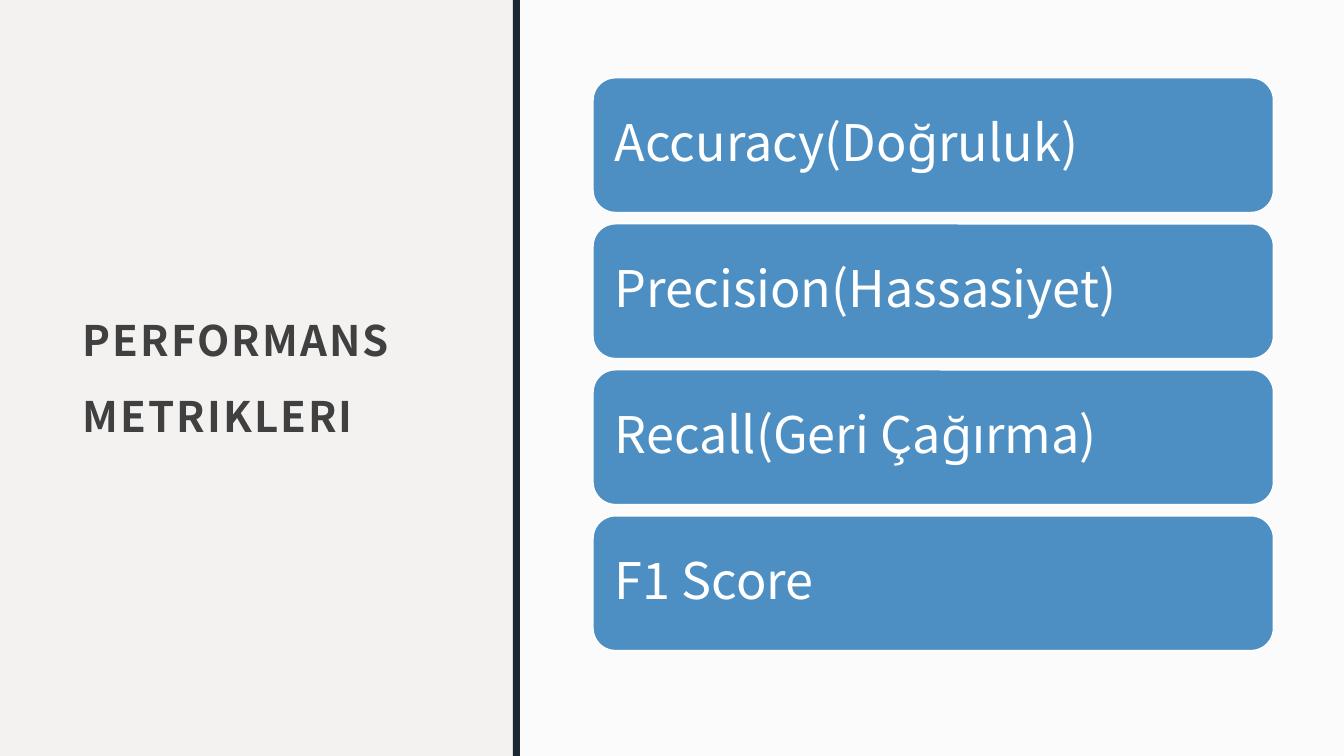
"""Build the slide that lists the performance metrics."""
from pptx import Presentation
from pptx.dml.color import RGBColor
from pptx.enum.shapes import MSO_SHAPE
from pptx.enum.text import MSO_ANCHOR, MSO_AUTO_SIZE, PP_ALIGN
from pptx.oxml.ns import qn
from pptx.util import Pt
from lxml.etree import SubElement

CREAM = RGBColor(0xF3, 0xF2, 0xF0)
WHITE = RGBColor(0xFF, 0xFF, 0xFF)
NAVY = RGBColor(0x1C, 0x28, 0x31)
BLUE = RGBColor(0x4D, 0x8F, 0xC3)
GREY = RGBColor(0x40, 0x40, 0x40)
FACE = "Noto Sans CJK JP"
TITLE = "PERFORMANS METRIKLERI"
ITEMS = ["Accuracy(Doğruluk)", "Precision(Hassasiyet)", "Recall(Geri Çağırma)", "F1 Score"]
TOP, STEP = 55.6, 104.3


def apply(target, values):
    """Set each attribute of the target from a dict."""
    for name, value in values.items():
        setattr(target, name, value)


def add_block(slide, kind, box, fill, edge=None):
    """Add a flat filled shape, with an outline if an edge colour is given."""
    block = slide.shapes.add_shape(kind, *map(Pt, box))
    block.shadow.inherit = False
    block.fill.solid()
    block.fill.fore_color.rgb = fill
    if edge is None:
        block.line.fill.background()
    else:
        block.line.color.rgb = edge
        block.line.width = Pt(1)
    return block


def fade(block, share):
    """Make the fill of a block partly see-through."""
    color = block.fill._xPr.find(qn("a:solidFill"))[0]
    SubElement(color, qn("a:alpha"), val=str(share * 1000))


def write(shape, text, color, font, frame, space):
    """Put one left-aligned paragraph into a shape."""
    body = shape.text_frame
    apply(body, {"word_wrap": True, "vertical_anchor": MSO_ANCHOR.MIDDLE, **frame})
    line = body.paragraphs[0]
    apply(line, {"alignment": PP_ALIGN.LEFT, "line_spacing": space})
    run = line.add_run()
    run.text = text
    apply(run.font, {"name": FACE, **font})
    run.font.color.rgb = color
    return run


def add_title(slide):
    """Add the spaced bold title on the left."""
    box = slide.shapes.add_textbox(*map(Pt, (50.4, 55.4, 268.6, 409)))
    frame = dict.fromkeys(("margin_left", "margin_right", "margin_top"), Pt(8.64))
    frame |= {"margin_bottom": Pt(7.2), "auto_size": MSO_AUTO_SIZE.TEXT_TO_FIT_SHAPE}
    run = write(box, TITLE, GREY, {"size": Pt(30), "bold": True}, frame, 1.5)
    run.font._element.set("spc", "150")


def add_card(slide, top, text):
    """Add one rounded metric card."""
    card = add_block(slide, MSO_SHAPE.ROUNDED_RECTANGLE, (423.6, top, 486, 96.2), BLUE, WHITE)
    sides = ("margin_left", "margin_right", "margin_top", "margin_bottom")
    write(card, text, WHITE, {"size": Pt(36)}, dict.fromkeys(sides, Pt(10.8)), 0.9)


def main():
    """Build and save the slide."""
    deck = Presentation()
    apply(deck, {"slide_width": Pt(960), "slide_height": Pt(540)})
    slide = deck.slides.add_slide(deck.slide_layouts[6])
    slide.background.fill.solid()
    slide.background.fill.fore_color.rgb = CREAM
    fade(add_block(slide, MSO_SHAPE.RECTANGLE, (371.4, 0, 588.6, 540), WHITE), 75)
    add_block(slide, MSO_SHAPE.RECTANGLE, (366.4, 0, 5, 540), NAVY)
    add_title(slide)
    for row, text in enumerate(ITEMS):
        add_card(slide, TOP + row * STEP, text)
    deck.save("out.pptx")


if __name__ == "__main__":
    main()
